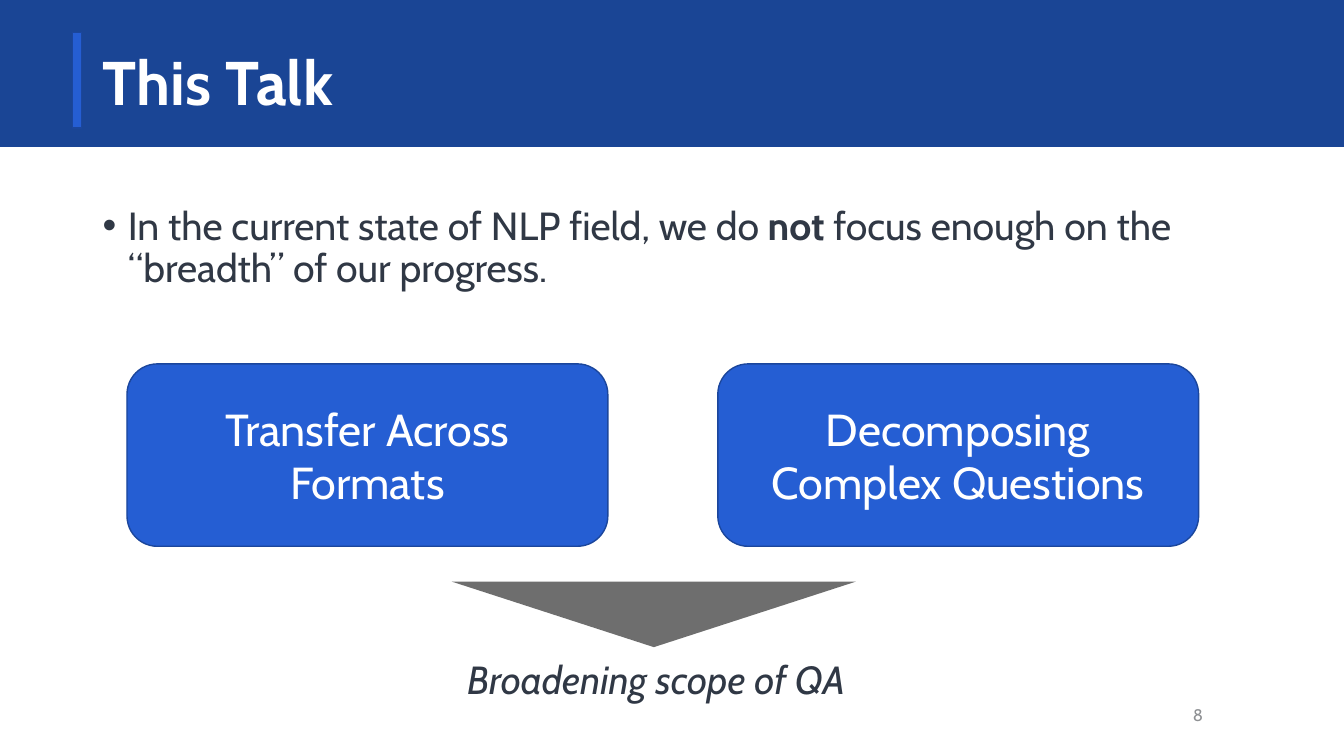
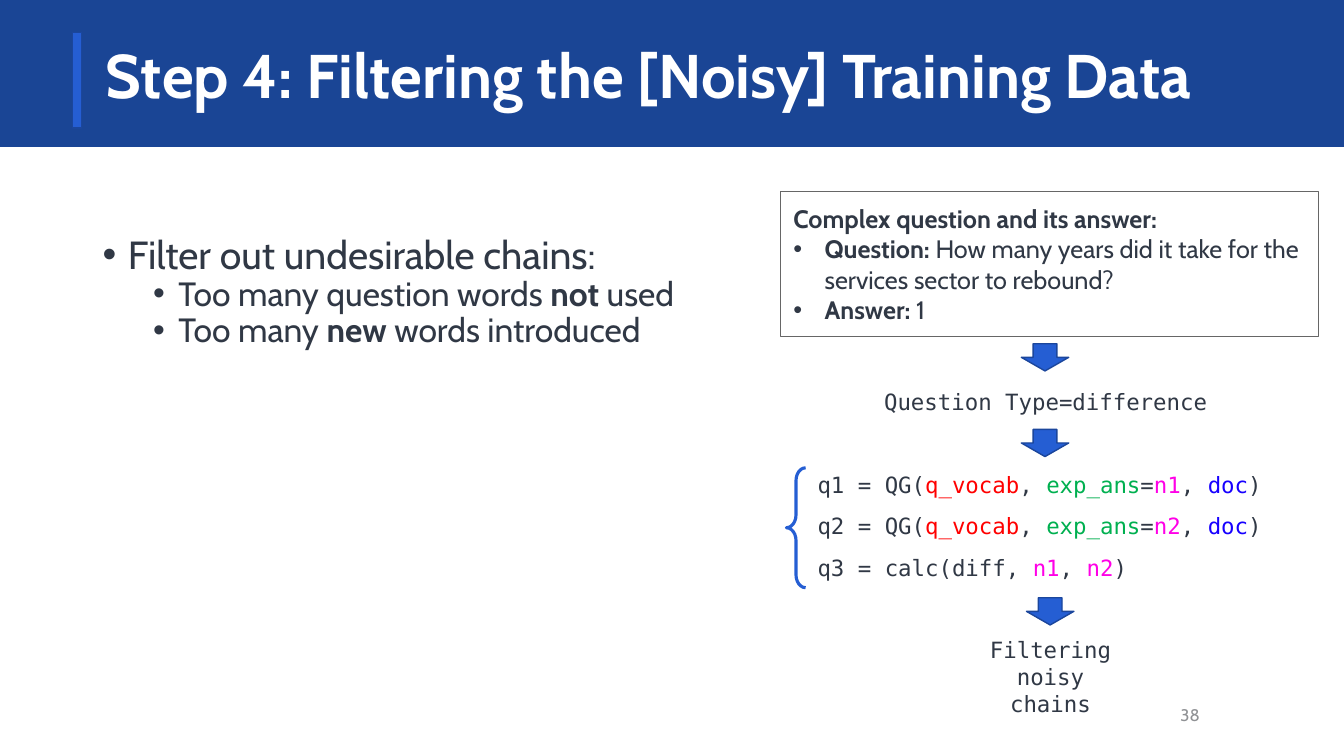
from pptx import Presentation
from pptx.dml.color import RGBColor
from pptx.enum.shapes import MSO_SHAPE as Preset
from pptx.enum.text import MSO_ANCHOR as Anchor, PP_ALIGN as Align
from pptx.oxml.ns import qn
from pptx.util import Inches, Pt
from lxml.etree import SubElement

WIDTH, HEIGHT = Inches(13.33), Inches(7.5)
SANS, MONO = "Cabin", "DejaVu Sans Mono"
NAVY, BLUE, EDGE = "1A4595", "255ED3", "1B469C"
INK, WHITE, GREY, PALE = "303845", "FFFFFF", "6E6E6E", "8F9194"
FRAME = "666666"
CODE_COLORS = {
    "q_vocab": "FF0000",
    "exp_ans": "00B050",
    "n1": "FF00E7",
    "n2": "FF00E7",
    "doc": "1700FF",
}
WIDE_INSET = Inches(0.13)
MARGIN, CONTENT_WIDTH = 6.9, 86.27
ARROW_SIZE = (3.53, 3.6)


def color(value):
    return RGBColor.from_string(value)


def area(left, top, width, height):
    return [int(share * side / 100) for share, side in
            zip((left, top, width, height), (WIDTH, HEIGHT, WIDTH, HEIGHT))]


def set_frame(frame, anchor=Anchor.TOP, inset=None):
    frame.word_wrap = True
    frame.vertical_anchor = anchor
    if inset is not None:
        frame.margin_left = frame.margin_right = inset
        frame.margin_top = frame.margin_bottom = inset


def write(para, text, size, ink=INK, face=SANS, italic=None, align=None, spacing=None):
    for index, part in enumerate(text.split("|")):
        if not part:
            continue
        span = para.add_run()
        span.text = part
        font = span.font
        font.name, font.size, font.italic = face, Pt(size), italic
        marked = index % 2 == 1
        font.bold = marked and part not in CODE_COLORS
        font.color.rgb = color(CODE_COLORS.get(part, ink) if marked else ink)
    para.alignment = align
    if spacing:
        para.line_spacing = spacing


def write_lines(frame, lines, size, **style):
    for index, line in enumerate(lines):
        para = frame.paragraphs[0] if index == 0 else frame.add_paragraph()
        write(para, line, size, **style)


def add_bullet(para, margin, hanging, level=0):
    para.level = level
    properties = para._p.get_or_add_pPr()
    properties.set("marL", str(Inches(margin)))
    properties.set("indent", str(-Inches(hanging)))
    SubElement(properties, qn("a:buFont")).set("typeface", "Arial")
    SubElement(properties, qn("a:buChar")).set("char", "•")


def add_label(page, place, lines, size, anchor=Anchor.TOP, inset=None, **style):
    box = page.shapes.add_textbox(*area(*place))
    set_frame(box.text_frame, anchor, inset)
    write_lines(box.text_frame, lines, size, **style)
    return box


def add_figure(page, preset, place, fill=None, line=None, weight=1):
    figure = page.shapes.add_shape(preset, *area(*place))
    figure.shadow.inherit = False
    if fill:
        figure.fill.solid()
        figure.fill.fore_color.rgb = color(fill)
    else:
        figure.fill.background()
    if line:
        figure.line.color.rgb = color(line)
        figure.line.width = Pt(weight)
    else:
        figure.line.fill.background()
    return figure


def add_header(page):
    bands = [
        add_figure(page, Preset.RECTANGLE, (0, 0, 100, 19.33), NAVY, NAVY),
        add_figure(page, Preset.RECTANGLE, (5.4, 4.27, 0.68, 12.67), BLUE, EDGE),
    ]
    layout_tree = page.slide_layout.shapes.element
    for position, band in enumerate(bands, 2):
        layout_tree.insert(position, band.element)


def add_page(deck, title, number, anchor=Anchor.MIDDLE, inset=None):
    page = deck.slides.add_slide(deck.slide_layouts.get_by_name("Title Only"))
    heading = page.shapes.title
    heading.left, heading.top, heading.width, heading.height = area(
        MARGIN, 4.27, CONTENT_WIDTH, 14)
    set_frame(heading.text_frame, anchor, inset)
    write(heading.text_frame.paragraphs[0], f"|{title}|", 44, WHITE,
          align=Align.LEFT, spacing=0.9)
    add_label(page, (85.9, 91.87, 4.35, 5.33), [number], 12, Anchor.MIDDLE, inset,
              ink=PALE, align=Align.RIGHT)
    return page


def add_body(page, width, items):
    box = page.shapes.add_textbox(*area(MARGIN, 26.67, width, 63.47))
    set_frame(box.text_frame)
    for index, (text, level, spacing) in enumerate(items):
        para = box.text_frame.paragraphs[0] if index == 0 else box.text_frame.add_paragraph()
        add_bullet(para, 0.25 + 0.5 * level, 0.25, level)
        write(para, text, 28 - 4 * level, spacing=spacing)


def add_card(page, place, text):
    card = add_figure(page, Preset.ROUNDED_RECTANGLE, place, BLUE, EDGE)
    set_frame(card.text_frame, Anchor.MIDDLE)
    write(card.text_frame.paragraphs[0], text, 32, WHITE, align=Align.CENTER)


def add_question(page):
    panel = add_figure(page, Preset.RECTANGLE, (58.06, 25.33, 40.06, 19.2),
                       line=FRAME, weight=0.75)
    set_frame(panel.text_frame, Anchor.MIDDLE, WIDE_INSET)
    write_lines(panel.text_frame, [
        "|Complex question and its answer:|",
        "|Question: |How many years did it take for the services sector to rebound?",
        "|Answer:| 1",
    ], 18, align=Align.LEFT)
    for para in panel.text_frame.paragraphs[1:]:
        add_bullet(para, 0.31, 0.31)


def add_code(page, lines):
    for row, line in enumerate(lines):
        add_label(page, (60.09, 61.6 + 5.55 * row, 36, 4.93), [line], 16, face=MONO)
    brace = add_figure(page, Preset.RIGHT_BRACE, (58.51, 61.87, 1.43, 15.87),
                       line=BLUE, weight=2.25)
    brace.adjustments[0] = 0.67
    brace.rotation = 180


def build_talk(deck):
    page = add_page(deck, "This Talk", "8")
    add_header(page)
    add_body(page, CONTENT_WIDTH, [
        ("In the current state of NLP field, we do |not| focus enough on the "
         "“breadth” of our progress.", 0, 0.9),
    ])
    for column, topic in enumerate(["Transfer Across Formats",
                                    "Decomposing Complex Questions"]):
        add_card(page, (9.45 + 43.96 * column, 48.13, 35.78, 24.13), topic)
    pointer = add_figure(page, Preset.ISOSCELES_TRIANGLE, (33.61, 76.93, 30.08, 8.67), GREY)
    pointer.rotation = 180
    add_label(page, (33.76, 86, 30.08, 7.6), ["Broadening scope of QA"], 28,
              italic=True, align=Align.CENTER)


def build_filtering(deck):
    page = add_page(deck, "Step 4: Filtering the [Noisy] Training Data", "38",
                    Anchor.TOP, WIDE_INSET)
    add_body(page, 51.24, [
        ("Filter out undesirable chains:", 0, 1.5),
        ("Too many question words |not| used", 1, 0.9),
        ("Too many |new| words introduced", 1, 0.9),
    ])
    add_question(page)
    add_label(page, (64.89, 50.67, 25.81, 4.93), ["Question Type=difference"], 16,
              face=MONO, align=Align.CENTER)
    add_code(page, [
        "q1 = QG(|q_vocab|, |exp_ans|=|n1|, |doc|)",
        "q2 = QG(|q_vocab|, |exp_ans|=|n2|, |doc|)",
        "q3 = calc(diff, |n1|, |n2|)",
    ])
    for left, top in [(75.99, 45.47), (75.99, 56.8), (76.37, 79.07)]:
        add_figure(page, Preset.DOWN_ARROW, (left, top, *ARROW_SIZE), BLUE, EDGE)
    add_label(page, (72.84, 83.47, 10.65, 12.13), ["Filtering", "noisy", "chains"], 16,
              face=MONO, align=Align.CENTER)


def main():
    deck = Presentation()
    deck.slide_width, deck.slide_height = WIDTH, HEIGHT
    build_talk(deck)
    build_filtering(deck)
    deck.save("out.pptx")


if __name__ == "__main__":
    main()
